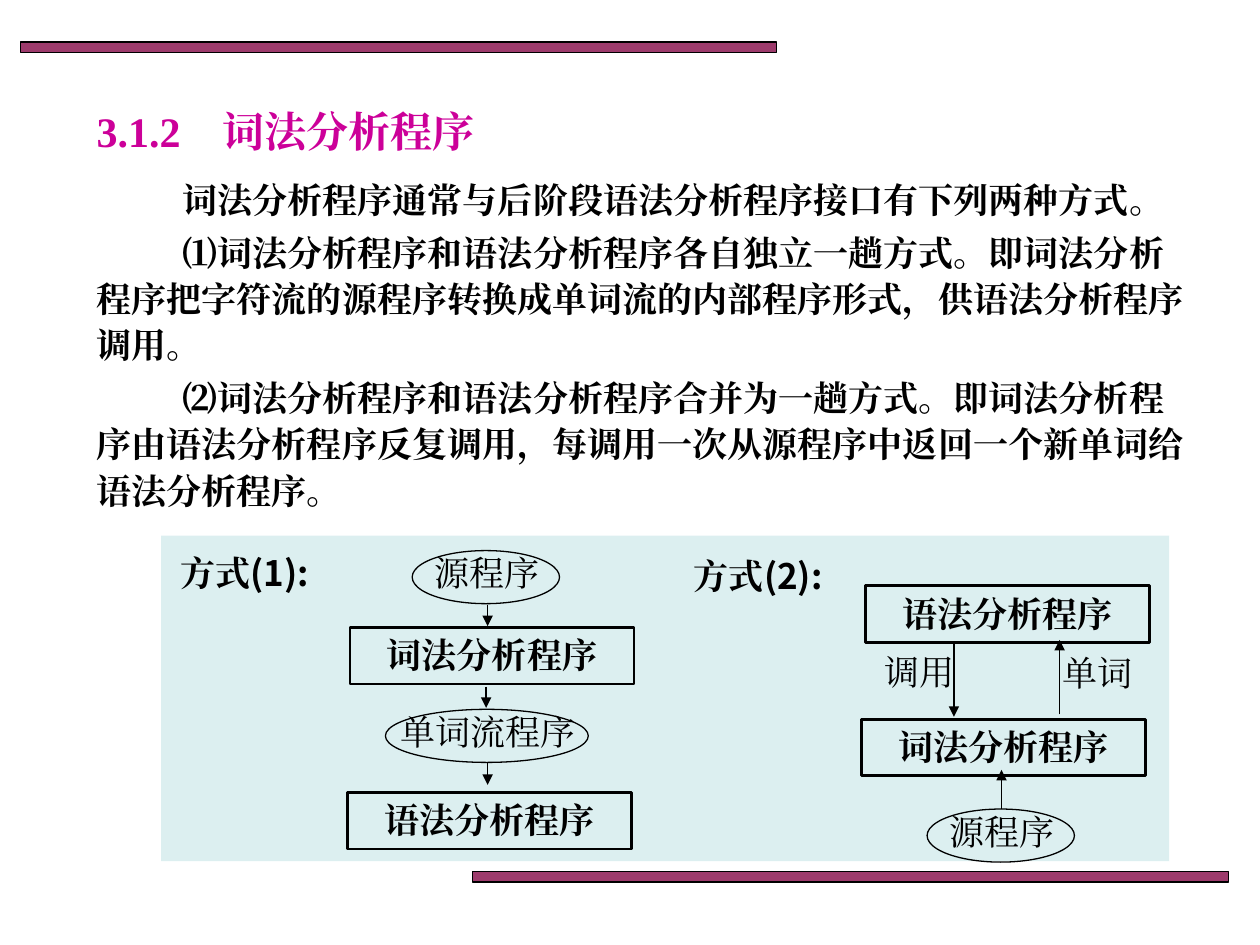
from dataclasses import dataclass

import pptx
import pptx.dml.color
import pptx.enum.shapes
import pptx.enum.text
import pptx.oxml.ns
import pptx.util
from lxml import etree

Cm = pptx.util.Cm
Pt = pptx.util.Pt
SHAPES = pptx.enum.shapes.MSO_SHAPE
ALIGN = pptx.enum.text.PP_ALIGN
ANCHOR = pptx.enum.text.MSO_ANCHOR
SERIF = "Times New Roman"
SANS = "Noto Sans CJK SC"
BLACK = "000000"
LEXER = "词法分析程序"
PARSER = "语法分析程序"
SOURCE = "源程序"
BOX_WIDTH, BOX_HEIGHT = 5.72, 1.14
OVAL_HEIGHT, LABEL_HEIGHT = 1.07, 1.09


@dataclass
class Frame:
    left: float
    top: float
    width: float
    height: float

    def lengths(self) -> list:
        return [Cm(value) for value in (self.left, self.top, self.width, self.height)]


@dataclass
class Step:
    text: str
    left: float
    top: float


@dataclass
class Oval:
    text: str
    left: float
    top: float
    width: float


@dataclass
class Label:
    words: tuple
    frame: Frame
    bold: bool = False
    align: ALIGN = ALIGN.CENTER


@dataclass
class Arrow:
    x: float
    start: float
    end: float


BODY = [
    "词法分析程序通常与后阶段语法分析程序接口有下列两种方式。",
    "⑴词法分析程序和语法分析程序各自独立一趟方式。即词法分析程序把字符流的源程序转换成单词流的内部程序形式，供语法分析程序调用。",
    "⑵词法分析程序和语法分析程序合并为一趟方式。即词法分析程序由语法分析程序反复调用，每调用一次从源程序中返回一个新单词给语法分析程序。",
]
STEPS = [
    Step(LEXER, 7.06, 12.65),
    Step(PARSER, 7.01, 15.98),
    Step(LEXER, 17.37, 14.5),
    Step(PARSER, 17.45, 11.81),
]
OVALS = [
    Oval(SOURCE, 8.31, 11.1, 2.97),
    Oval("单词流程序", 7.77, 14.3, 4.09),
    Oval(SOURCE, 18.69, 16.31, 2.97),
]
ARROWS = [
    Arrow(9.83, 12.19, 12.62),
    Arrow(9.8, 13.84, 14.27),
    Arrow(9.83, 15.39, 15.82),
    Arrow(20.19, 16.31, 15.52),
    Arrow(19.23, 12.98, 14.45),
    Arrow(21.36, 14.4, 12.9),
]
LABELS = [
    Label(("单词",), Frame(20.98, 13, 2.29, LABEL_HEIGHT)),
    Label(("调用",), Frame(17.48, 12.98, 2.11, LABEL_HEIGHT)),
    Label(("方式", "(1):"), Frame(3.38, 11, 3.38, LABEL_HEIGHT), True, ALIGN.LEFT),
    Label(("方式", "(2):"), Frame(13.74, 11.05, 3.38, LABEL_HEIGHT), True, ALIGN.LEFT),
]


def color(value: str) -> pptx.dml.color.RGBColor:
    return pptx.dml.color.RGBColor.from_string(value)


def add_child(parent, tag: str, **attributes: str) -> None:
    etree.SubElement(parent, pptx.oxml.ns.qn(tag), **attributes)


def write_span(para, text: str, size: float = 20, bold: bool = False,
               ink: str = BLACK, face: str = SERIF) -> None:
    span = para.add_run()
    span.text = text
    for name, value in {"size": Pt(size), "bold": bold, "name": face}.items():
        setattr(span.font, name, value)
    span.font.color.rgb = color(ink)
    add_child(span._r.get_or_add_rPr(), "a:ea", typeface=face)


def add_shape(page, kind, frame: Frame, fill: str = "", opacity: int = 100, line: float = 0):
    shape = page.shapes.add_shape(kind, *frame.lengths())
    shape.shadow.inherit = False
    if fill:
        shape.fill.solid()
        shape.fill.fore_color.rgb = color(fill)
        tint = shape._element.spPr.find(".//" + pptx.oxml.ns.qn("a:srgbClr"))
        add_child(tint, "a:alpha", val=str(opacity * 1000))
    else:
        shape.fill.background()
    if line:
        shape.line.color.rgb = color(BLACK)
        shape.line.width = Pt(line)
    else:
        shape.line.fill.background()
    return shape


def prepare_text(box, anchor=ANCHOR.TOP):
    for name, value in {"word_wrap": True, "vertical_anchor": anchor}.items():
        setattr(box.text_frame, name, value)
    return box.text_frame


def add_label(page, label: Label) -> None:
    box = page.shapes.add_textbox(*label.frame.lengths())
    para = prepare_text(box).paragraphs[0]
    para.alignment = label.align
    for text, face in zip(label.words, (SERIF, SANS)):
        write_span(para, text, bold=label.bold, face=face)


def add_step(page, step: Step) -> None:
    frame = Frame(step.left, step.top, BOX_WIDTH, BOX_HEIGHT)
    box = add_shape(page, SHAPES.RECTANGLE, frame, line=1.5)
    para = prepare_text(box).paragraphs[0]
    para.alignment = ALIGN.CENTER
    write_span(para, step.text, bold=True)


def add_oval(page, oval: Oval) -> None:
    add_label(page, Label((oval.text,), Frame(oval.left + 0.03, oval.top - 0.1, oval.width, LABEL_HEIGHT)))
    add_shape(page, SHAPES.OVAL, Frame(oval.left, oval.top, oval.width, OVAL_HEIGHT), line=0.75)


def add_arrow(page, arrow: Arrow) -> None:
    line = page.shapes.add_connector(pptx.enum.shapes.MSO_CONNECTOR.STRAIGHT,
                                     Cm(arrow.x), Cm(arrow.start), Cm(arrow.x), Cm(arrow.end))
    line.line.color.rgb = color(BLACK)
    line.line.width = Pt(0.75)
    outline = line._element.spPr
    add_child(outline.find(pptx.oxml.ns.qn("a:ln")), "a:tailEnd", type="triangle")
    add_child(outline, "a:effectLst")


def add_body(page) -> None:
    box = page.shapes.add_textbox(*Frame(1.7, 3.38, 22.43, 7.19).lengths())
    frame = prepare_text(box)
    for index, text in enumerate(BODY):
        para = frame.add_paragraph() if index else frame.paragraphs[0]
        settings = para._p.get_or_add_pPr()
        settings.set("marL", "0")
        settings.set("indent", str(int(Cm(1.73))))
        for name, value in {"line_spacing": 1.1, "space_before": Pt(4 if index else 0)}.items():
            setattr(para, name, value)
        write_span(para, text, bold=True)


def add_title(page) -> None:
    box = page.shapes.add_textbox(*Frame(1.7, 1.9, 8.69, 1.48).lengths())
    para = prepare_text(box, ANCHOR.MIDDLE).paragraphs[0]
    write_span(para, "3.1.2　词法分析程序", 24, True, "CC0099")


def main() -> None:
    """Build the slide on the two ways a lexer and a parser work together."""
    deck = pptx.Presentation()
    deck.slide_width, deck.slide_height = Cm(25.4), Cm(19.05)
    page = deck.slides.add_slide(deck.slide_layouts[6])
    for left, top in ((0.42, 0.85), (9.53, 17.57)):
        add_shape(page, SHAPES.RECTANGLE, Frame(left, top, 15.24, 0.21), "993366", 96, 0.75)
    add_shape(page, SHAPES.RECTANGLE, Frame(3.25, 10.8, 20.32, 6.56), "BBE0E3", 50)
    add_body(page)
    for draw, items in ((add_step, STEPS), (add_oval, OVALS), (add_arrow, ARROWS), (add_label, LABELS)):
        for item in items:
            draw(page, item)
    add_title(page)
    deck.save("out.pptx")


if __name__ == "__main__":
    main()
